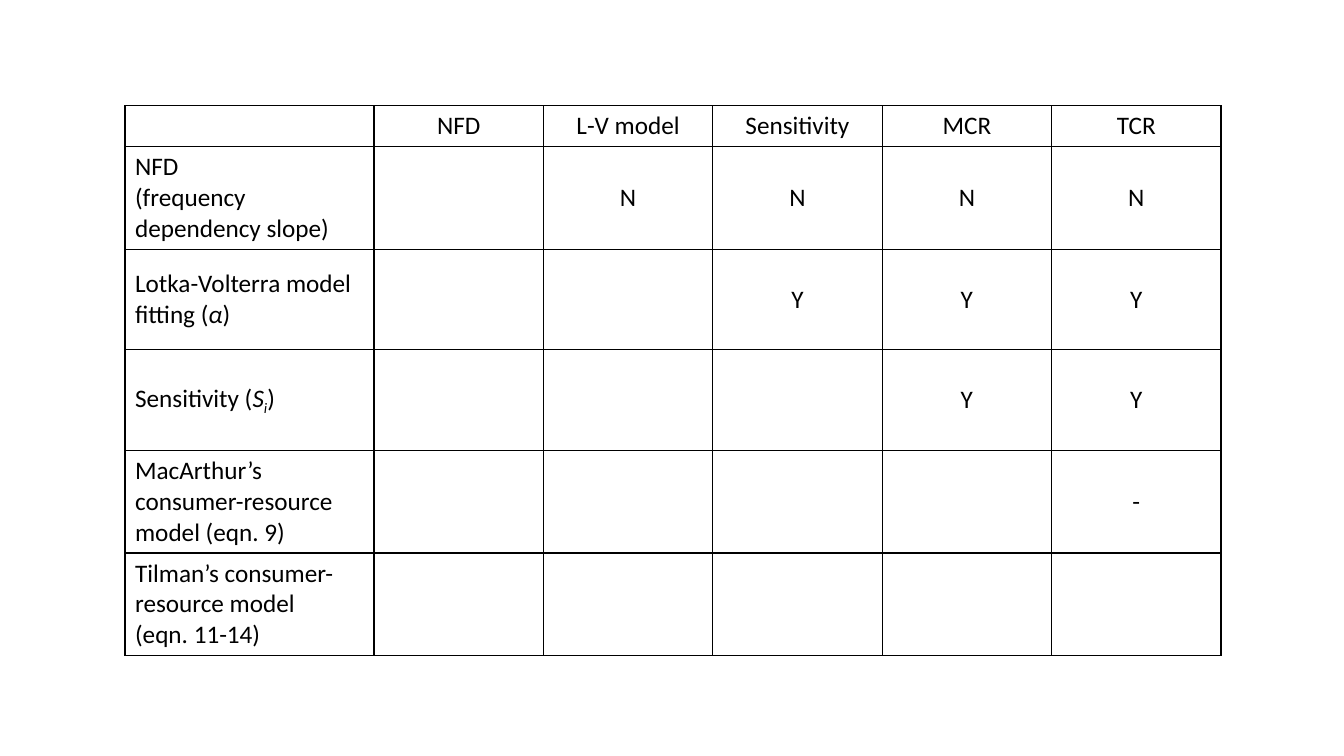
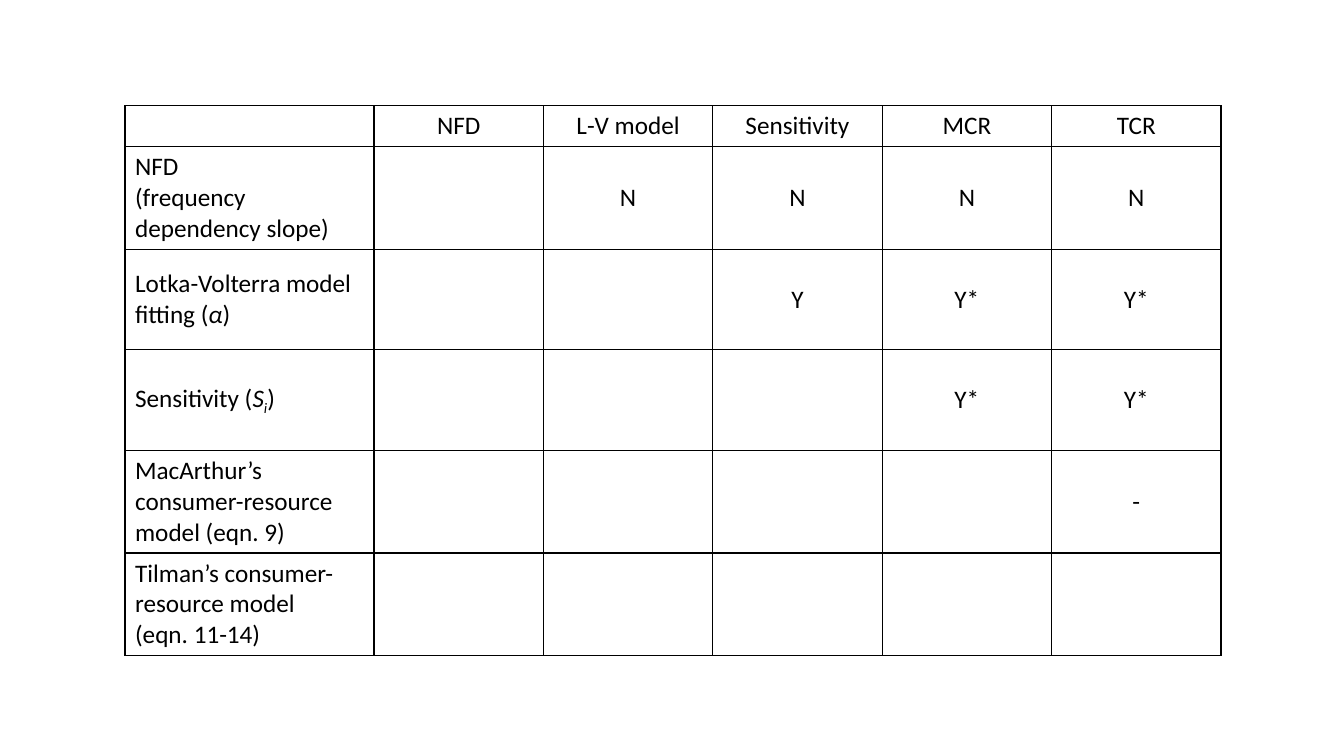
from lxml import etree
from pptx import Presentation
from pptx.dml.color import RGBColor
from pptx.enum.text import MSO_ANCHOR, PP_ALIGN
from pptx.oxml.ns import qn
from pptx.util import Inches, Pt

# Shared look
COLORS = {"ink": "000000", "paper": "FFFFFF"}
FONT, SIZE = "Calibri", Pt(18)
COL_WIDTHS = [2.47] + [1.68] * 5
ROW_HEIGHTS = [0.39] + [1] * 5

# Row labels: paragraphs of (text, style) runs
HEADINGS = ["NFD", "L-V model", "Sensitivity", "MCR", "TCR"]
LABELS = [
    [[("NFD ", "")], [("(frequency dependency slope)", "")]],
    [[("Lotka-Volterra model fitting (", ""), ("α", "italic"), (")", "")]],
    [[("Sensitivity (", ""), ("S", "italic"), ("i", "subscript"), (")", "")]],
    [[("MacArthur’s consumer-resource model (eqn. 9)", "")]],
    [[("Tilman’s consumer-resource model ", "")], [("(eqn. 11-14)", "")]],
]


def add_run(p, text, style=""):
    r = p.add_run()
    r.text = text
    r.font.name, r.font.size = FONT, SIZE
    r.font.color.rgb = RGBColor.from_string(COLORS["ink"])
    if style:
        r.font.italic = True
    if style == "subscript":
        r.font._element.set("baseline", "-25000")


def style_cell(cell):
    cell.vertical_anchor = MSO_ANCHOR.MIDDLE
    tcPr = cell._tc.get_or_add_tcPr()
    for side in ("a:lnL", "a:lnR", "a:lnT", "a:lnB"):
        ln = etree.SubElement(tcPr, qn(side), w=str(Pt(1)))
        fill = etree.SubElement(ln, qn("a:solidFill"))
        etree.SubElement(fill, qn("a:srgbClr"), val=COLORS["ink"])
    cell.fill.solid()
    cell.fill.fore_color.rgb = RGBColor.from_string(COLORS["paper"])


prs = Presentation()
prs.slide_width, prs.slide_height = Inches(13.33), Inches(7.5)

# One comparison table per slide; the mark is the answer for consumer-resource models
for mark in ("Y", "Y*"):
    slide = prs.slides.add_slide(prs.slide_layouts[6])
    table = slide.shapes.add_table(
        len(ROW_HEIGHTS), len(COL_WIDTHS), Inches(1.24), Inches(1.05),
        Inches(sum(COL_WIDTHS)), Inches(sum(ROW_HEIGHTS))).table
    for column, width in zip(table.columns, COL_WIDTHS):
        column.width = Inches(width)
    for row, height in zip(table.rows, ROW_HEIGHTS):
        row.height = Inches(height)
    for cell in table.iter_cells():
        style_cell(cell)

    # Row labels
    for i, paragraphs in enumerate(LABELS, 1):
        tf = table.cell(i, 0).text_frame
        for j, runs in enumerate(paragraphs):
            p = tf.add_paragraph() if j else tf.paragraphs[0]
            for text, style in runs:
                add_run(p, text, style)

    # Headings and answers, aligned to the right-hand columns
    answers = [HEADINGS, ["N"] * 4, ["Y", mark, mark], [mark, mark], ["-"]]
    for i, values in enumerate(answers):
        for j, value in enumerate(values, len(COL_WIDTHS) - len(values)):
            p = table.cell(i, j).text_frame.paragraphs[0]
            p.alignment = PP_ALIGN.CENTER
            add_run(p, value)

prs.save("out.pptx")
